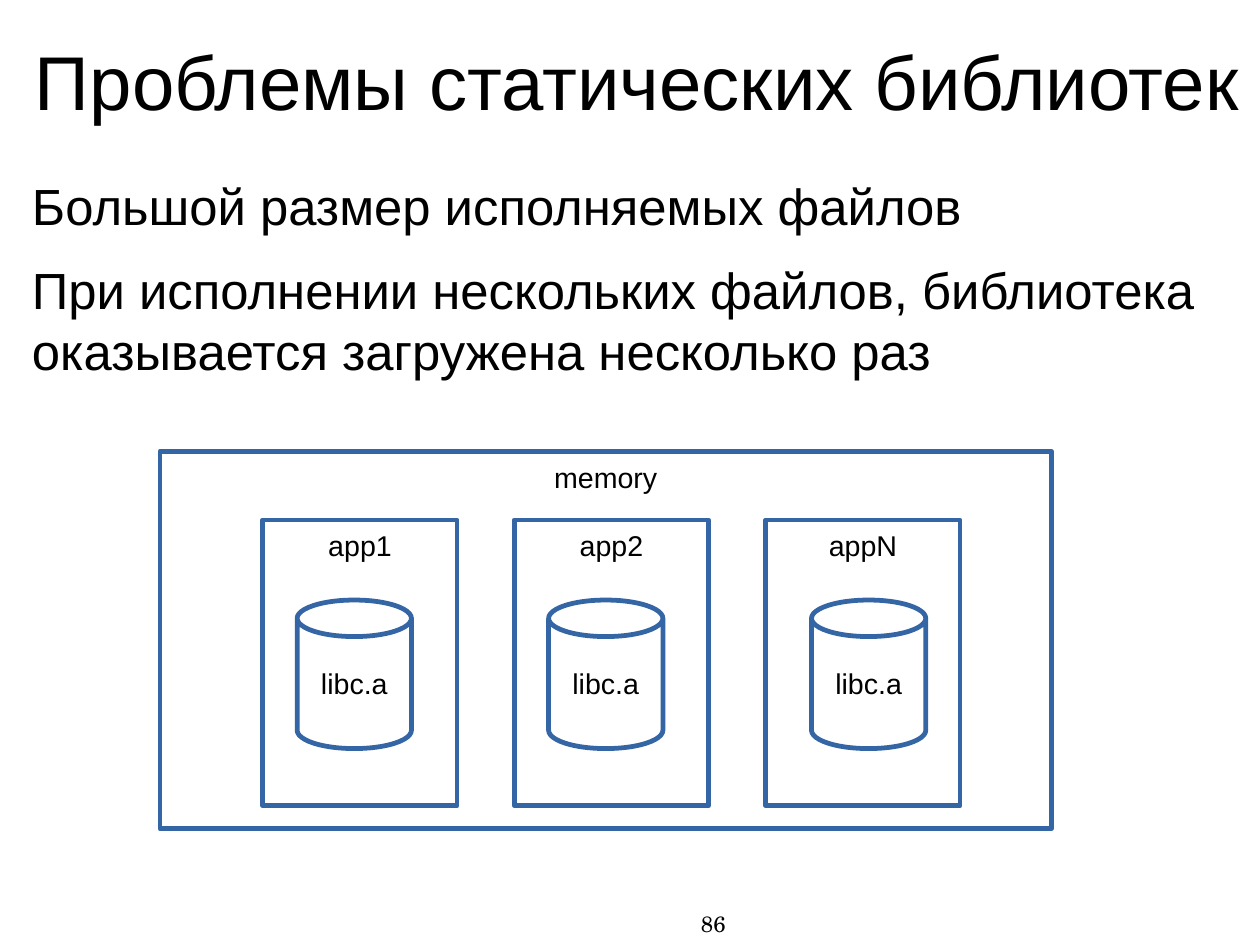
from dataclasses import dataclass

from lxml import etree
from pptx import Presentation
from pptx import util as u
from pptx.dml.color import RGBColor
from pptx.enum import shapes, text
from pptx.oxml import ns

COLOURS = {"ink": "000000", "paper": "FFFFFF", "outline": "3465A4"}
CM_PER_INCH = 2.54
PAGE_WIDTH, PAGE_HEIGHT = 28 / CM_PER_INCH, 21 / CM_PER_INCH
APP_TOP, APP_WIDTH, APP_HEIGHT = 4.55, 1.7, 2.5
LIBRARY_TOP, LIBRARY_WIDTH, LIBRARY_HEIGHT = 5.25, 1, 1.3


@dataclass
class App:
    label: str
    left: float
    library_offset: float


APPS = [
    App("app1", 2.3, 0.3),
    App("app2", 4.5, 0.3),
    App("appN", 6.7, 0.4),
]


def colour(name: str) -> RGBColor:
    return RGBColor.from_string(COLOURS[name])


def place(box, left: float, top: float, width: float, height: float) -> None:
    box.left, box.top = u.Inches(left), u.Inches(top)
    box.width, box.height = u.Inches(width), u.Inches(height)


def write(box, lines: list[str], *, size: float, font: str = "Arial",
          align=text.PP_ALIGN.CENTER, anchor=text.MSO_ANCHOR.TOP,
          inset: tuple[float, float] = (0, 0), after: float = 0) -> None:
    frame = box.text_frame
    frame.word_wrap = True
    frame.auto_size = text.MSO_AUTO_SIZE.NONE
    frame.vertical_anchor = anchor
    frame.margin_left = frame.margin_right = u.Inches(inset[0])
    frame.margin_top = frame.margin_bottom = u.Inches(inset[1])
    for index, line in enumerate(lines):
        para = frame.add_paragraph() if index else frame.paragraphs[0]
        para.alignment = align
        para.space_before, para.space_after = u.Pt(0), u.Pt(after)
        span = para.add_run()
        span.text = line
        span.font.name, span.font.size = font, u.Pt(size)
        span.font.color.rgb = colour("ink")


def remove_bullets(box) -> None:
    for para in box.text_frame.paragraphs:
        properties = para._p.get_or_add_pPr()
        properties.set("marL", "0")
        properties.set("indent", "0")
        etree.SubElement(properties, ns.qn("a:buNone"))


def add_block(page, kind, label: str, left: float, top: float,
              width: float, height: float, anchor=text.MSO_ANCHOR.TOP):
    box = page.shapes.add_shape(kind, 0, 0, 0, 0)
    place(box, left, top, width, height)
    box.shadow.inherit = False
    box.fill.solid()
    box.fill.fore_color.rgb = colour("paper")
    box.line.color.rgb = colour("outline")
    box.line.width = u.Pt(3)
    write(box, [label], size=18, anchor=anchor, inset=(0.12, 0.07))
    return box


def add_app(page, app: App) -> None:
    add_block(page, shapes.MSO_SHAPE.RECTANGLE, app.label,
              app.left, APP_TOP, APP_WIDTH, APP_HEIGHT)
    library = add_block(page, shapes.MSO_SHAPE.CAN, "libc.a",
                        app.left + app.library_offset, LIBRARY_TOP,
                        LIBRARY_WIDTH, LIBRARY_HEIGHT, text.MSO_ANCHOR.MIDDLE)
    library.adjustments[0] = 0.32


def main() -> None:
    deck = Presentation()
    deck.slide_width = u.Inches(PAGE_WIDTH)
    deck.slide_height = u.Inches(PAGE_HEIGHT)
    page = deck.slides.add_slide(deck.slide_layouts[1])

    title = page.shapes.title
    place(title, 0.25, 0.2, 10.65, 1)
    write(title, ["Проблемы статических библиотек"], size=48,
          anchor=text.MSO_ANCHOR.MIDDLE)

    body = page.placeholders[1]
    place(body, 0.28, 1.53, 10.62, 2.77)
    write(body, [
        "Большой размер исполняемых файлов",
        "При исполнении нескольких файлов, библиотека "
        "оказывается загружена несколько раз",
    ], size=32, align=text.PP_ALIGN.LEFT, after=14.2)
    remove_bullets(body)

    add_block(page, shapes.MSO_SHAPE.RECTANGLE, "memory", 1.4, 3.95, 7.8, 3.3)
    for app in APPS:
        add_app(page, app)

    number = page.shapes.add_textbox(0, 0, 0, 0)
    place(number, 3.78, 7.96, 2.57, 0.31)
    write(number, ["86"], size=14, font="TeX Gyre Schola",
          align=text.PP_ALIGN.RIGHT)

    deck.save("out.pptx")


if __name__ == "__main__":
    main()
